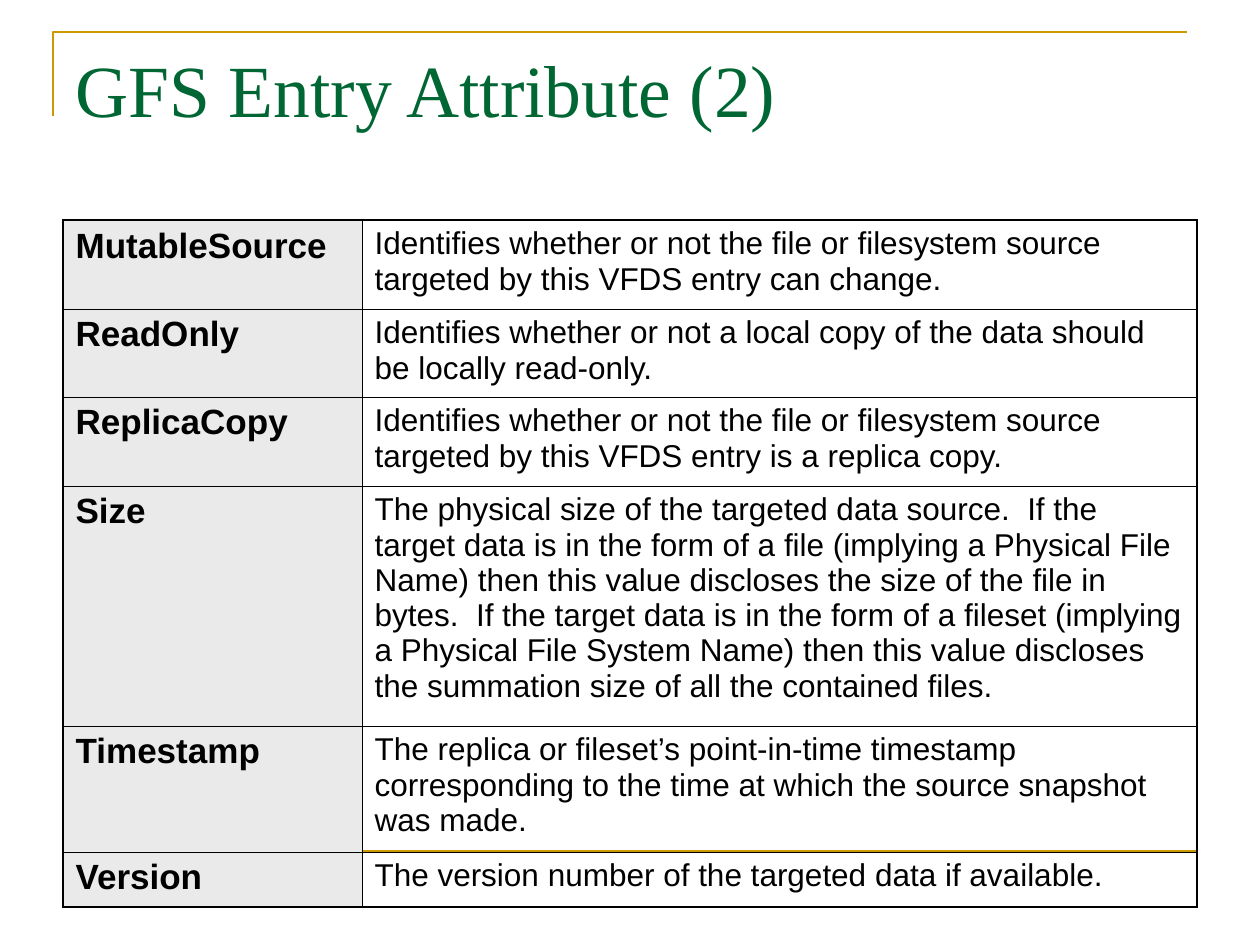
from typing import NamedTuple

from pptx import Presentation
from pptx.dml.color import RGBColor
from pptx.enum.shapes import MSO_CONNECTOR
from pptx.enum.text import MSO_ANCHOR, MSO_AUTO_SIZE, PP_ALIGN
from pptx.oxml.ns import qn
from pptx.util import Emu, Pt
from lxml.etree import SubElement

COLORS = {"gold": "CC9900", "title": "006633", "text": "000000", "label": "EAEAEA"}
OUTER_BORDER, INNER_BORDER = 1.08, 0.45
COLUMN_WIDTHS = (299, 835)


class Attribute(NamedTuple):
    name: str
    description: str
    height: int


ATTRIBUTES = (
    Attribute("MutableSource", "Identifies whether or not the file or filesystem source "
              "targeted by this VFDS entry can change.", 89),
    Attribute("ReadOnly", "Identifies whether or not a local copy of the data should "
              "be locally read-only.", 88),
    Attribute("ReplicaCopy", "Identifies whether or not the file or filesystem source "
              "targeted by this VFDS entry is a replica copy.", 89),
    Attribute("Size", "The physical size of the targeted data source.  If the target data "
              "is in the form of a file (implying a Physical File Name) then this value "
              "discloses the size of the file in bytes.  If the target data is in the form "
              "of a fileset (implying a Physical File System Name) then this value "
              "discloses the summation size of all the contained files.", 240),
    Attribute("Timestamp", "The replica or fileset’s point-in-time timestamp corresponding "
              "to the time at which the source snapshot was made.", 126),
    Attribute("Version", "The version number of the targeted data if available.", 55),
)


def px(length: int) -> Emu:
    return Emu(round(length * 914400 / 126))


def color(name: str) -> RGBColor:
    return RGBColor.from_string(COLORS[name])


def style_font(paragraph, name: str, size: int, color_name: str, bold: bool = False) -> None:
    font = paragraph.font
    font.name, font.size, font.bold = name, Pt(size), bold
    font.color.rgb = color(color_name)


def style_line(shape) -> None:
    shape.line.color.rgb = color("gold")
    shape.line.width = Pt(1.5)


def add_title(slide, text: str) -> None:
    title = slide.shapes.title
    title.left, title.top, title.width, title.height = px(63), px(38), px(1134), px(157)
    frame = title.text_frame
    frame.text = text
    frame.auto_size = MSO_AUTO_SIZE.NONE
    frame.vertical_anchor = MSO_ANCHOR.TOP
    frame.paragraphs[0].alignment = PP_ALIGN.LEFT
    style_font(frame.paragraphs[0], "Times New Roman", 42, "title")


def add_decoration(slide) -> None:
    builder = slide.shapes.build_freeform(px(53), px(116))
    builder.add_line_segments([(px(53), px(32)), (px(1187), px(32))], close=False)
    corner = builder.convert_to_shape()
    corner.shadow.inherit = False
    corner.fill.background()
    style_line(corner)

    rule = slide.shapes.add_connector(
        MSO_CONNECTOR.STRAIGHT, px(63), px(851), px(1197), px(851))
    SubElement(rule._element.spPr, qn("a:effectLst"))
    style_line(rule)


def set_borders(cell, widths: dict[str, float]) -> None:
    properties = cell._tc.get_or_add_tcPr()
    for side in ("L", "R", "T", "B"):
        line = SubElement(properties, qn(f"a:ln{side}"), w=str(Pt(widths[side])))
        fill = SubElement(line, qn("a:solidFill"))
        SubElement(fill, qn("a:srgbClr"), val=COLORS["text"])


def fill_cell(cell, text: str, is_label: bool) -> None:
    cell.text = text
    cell.margin_left = cell.margin_right = Pt(7.2)
    cell.margin_top = cell.margin_bottom = Pt(3.6)
    cell.vertical_anchor = MSO_ANCHOR.TOP
    style_font(cell.text_frame.paragraphs[0], "Arial", 20 if is_label else 18, "text", is_label)
    if is_label:
        cell.fill.solid()
        cell.fill.fore_color.rgb = color("label")
    else:
        cell.fill.background()


def add_attribute_table(slide, attributes: tuple[Attribute, ...]) -> None:
    height = sum(attribute.height for attribute in attributes)
    table = slide.shapes.add_table(
        len(attributes), len(COLUMN_WIDTHS), px(63), px(220),
        px(sum(COLUMN_WIDTHS)), px(height)).table
    table.first_row = table.horz_banding = False
    for column, width in zip(table.columns, COLUMN_WIDTHS):
        column.width = px(width)
    last_row, last_column = len(attributes) - 1, len(COLUMN_WIDTHS) - 1
    for i, attribute in enumerate(attributes):
        table.rows[i].height = px(attribute.height)
        for j, text in enumerate((attribute.name, attribute.description)):
            on_edge = {"L": j == 0, "R": j == last_column, "T": i == 0, "B": i == last_row}
            cell = table.cell(i, j)
            set_borders(cell, {side: OUTER_BORDER if outer else INNER_BORDER
                               for side, outer in on_edge.items()})
            fill_cell(cell, text, is_label=j == 0)


def main() -> None:
    presentation = Presentation()
    presentation.slide_width, presentation.slide_height = px(1260), px(945)
    slide = presentation.slides.add_slide(presentation.slide_layouts.get_by_name("Title Only"))
    add_title(slide, "GFS Entry Attribute (2)")
    add_decoration(slide)
    add_attribute_table(slide, ATTRIBUTES)
    presentation.save("out.pptx")


if __name__ == "__main__":
    main()
